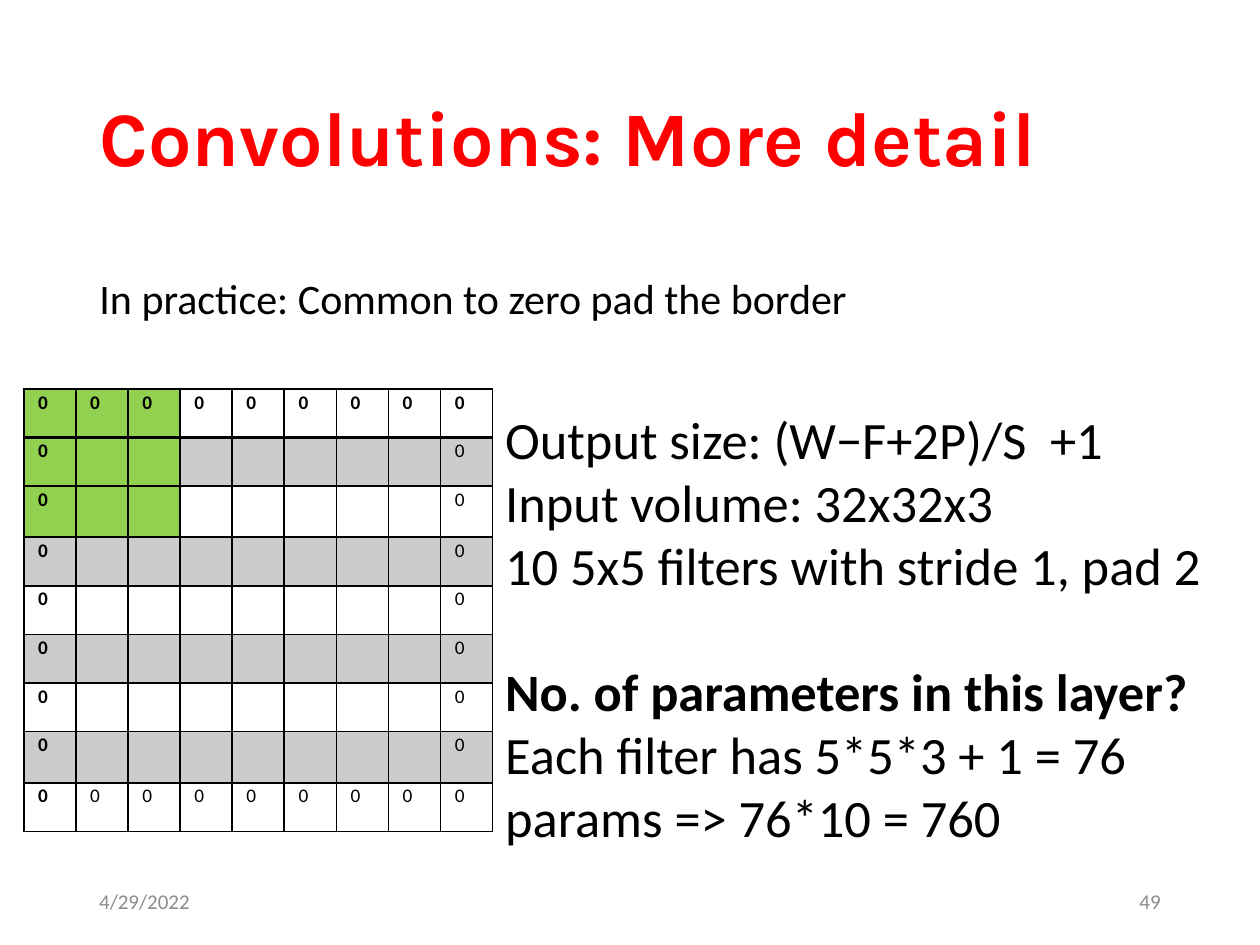
from dataclasses import dataclass
from lxml.etree import SubElement
from pptx import Presentation
from pptx.dml.color import RGBColor
from pptx.enum.text import MSO_ANCHOR, MSO_AUTO_SIZE, PP_ALIGN
from pptx.oxml.ns import qn
from pptx.util import Cm, Pt

RED, BLACK, GREY, GREEN = "FF0000", "000000", "8C8C8C", "92D050"
SIZE = 9
PATCH = 3
ZERO = " 0"


@dataclass
class Block:
    lines: list[str]
    left: float
    top: float
    width: float
    height: float
    size: int
    color: str = BLACK
    face: str = "Calibri"
    bold: tuple[int, ...] = ()
    align: PP_ALIGN = PP_ALIGN.LEFT
    anchor: MSO_ANCHOR = MSO_ANCHOR.TOP
    pitch: float = 1.0


def paint(target, color: str) -> None:
    target.rgb = RGBColor.from_string(color)


def style(para, size: int, color: str, face: str, bold: bool) -> None:
    for font in [para.font] + [run.font for run in para.runs]:
        font.size, font.name, font.bold = Pt(size), face, bold
        paint(font.color, color)


def fill_box(shape, block: Block) -> None:
    shape.left, shape.top = Cm(block.left), Cm(block.top)
    shape.width, shape.height = Cm(block.width), Cm(block.height)
    frame = shape.text_frame
    frame.text = "\n".join(block.lines)
    frame.word_wrap = True
    frame.auto_size = MSO_AUTO_SIZE.NONE
    frame.vertical_anchor = block.anchor
    for row, para in enumerate(frame.paragraphs):
        props = para._p.get_or_add_pPr()
        props.set("marL", "0")
        props.set("indent", "0")
        SubElement(props, qn("a:buNone"))
        para.alignment = block.align
        para.line_spacing = block.pitch
        para.space_before = Pt(0)
        style(para, block.size, block.color, block.face, row in block.bold)


def edge(cell, side: str, width: float) -> None:
    line = SubElement(cell._tc.get_or_add_tcPr(), qn(f"a:{side}"), w=str(Pt(width)))
    solid = SubElement(line, qn("a:solidFill"))
    SubElement(solid, qn("a:srgbClr"), val=BLACK)


def shade(cell, row: int, col: int) -> None:
    if row < PATCH and col < PATCH:
        cell.fill.solid()
        paint(cell.fill.fore_color, GREEN)
    elif row % 2:
        cell.fill.solid()
        paint(cell.fill.fore_color, BLACK)
        tone = cell._tc.tcPr.find(".//" + qn("a:solidFill") + "/" + qn("a:srgbClr"))
        for tone in cell._tc.tcPr.findall(qn("a:solidFill") + "/" + qn("a:srgbClr")):
            SubElement(tone, qn("a:alpha"), val="20000")
    else:
        cell.fill.background()


def draw_grid(slide, left: float, top: float) -> None:
    wide = 1.05
    highs = [1.03 if row in (2, 7) else 0.98 for row in range(SIZE)]
    frame = slide.shapes.add_table(
        SIZE, SIZE, Cm(left), Cm(top), Cm(SIZE * wide), Cm(sum(highs)))
    grid = frame.table
    for row, high in enumerate(highs):
        grid.rows[row].height = Cm(high)
        grid.columns[row].width = Cm(wide)
    for row in range(SIZE):
        for col in range(SIZE):
            cell = grid.cell(row, col)
            cell.margin_left = cell.margin_right = Cm(0.2)
            cell.margin_top = cell.margin_bottom = 0
            rim = row in (0, SIZE - 1) or col in (0, SIZE - 1)
            para = cell.text_frame.paragraphs[0]
            para.text = ZERO if rim else ""
            para.line_spacing = 1.07
            para.space_after = Pt(8)
            style(para, 11, BLACK, "Calibri", row == 0 or col == 0)
            for side in ("lnL", "lnR", "lnT", "lnB"):
                thick = (row, side) in ((0, "lnB"), (1, "lnT"))
                edge(cell, side, 2 if thick else 1)
            shade(cell, row, col)


def main() -> None:
    deck = Presentation()
    deck.slide_width, deck.slide_height = Cm(25.4), Cm(19.05)
    slide = deck.slides.add_slide(deck.slide_layouts[3])
    title, note, facts = slide.placeholders
    fill_box(title, Block(
        ["Convolutions: More detail"], 1.75, 1.02, 21.89, 3.68, 44, RED,
        "Karla", (0,), anchor=MSO_ANCHOR.MIDDLE, pitch=0.9))
    draw_grid(slide, 0.48, 7.84)
    fill_box(note, Block(
        ["In practice: Common to zero pad the border"],
        1.75, 5.36, 17.88, 1.27, 24))
    fill_box(facts, Block(
        ["Output size: (W−F+2P)/S  +1",
         "Input volume: 32x32x3",
         "10 5x5 filters with stride 1, pad 2",
         "No. of parameters in this layer?",
         "Each filter has 5*5*3 + 1 = 76 params => 76*10 = 760"],
        9.93, 8.08, 15.47, 10.52, 30, bold=(3,)))
    facts.text_frame.paragraphs[3].space_before = Pt(36)
    for text, left, align in (
            ("4/29/2022", 1.75, PP_ALIGN.LEFT), ("49", 17.93, PP_ALIGN.RIGHT)):
        box = slide.shapes.add_textbox(0, 0, 0, 0)
        fill_box(box, Block([text], left, 17.65, 5.72, 1.02, 12, GREY,
                            align=align, anchor=MSO_ANCHOR.MIDDLE))
    deck.save("out.pptx")


if __name__ == "__main__":
    main()
